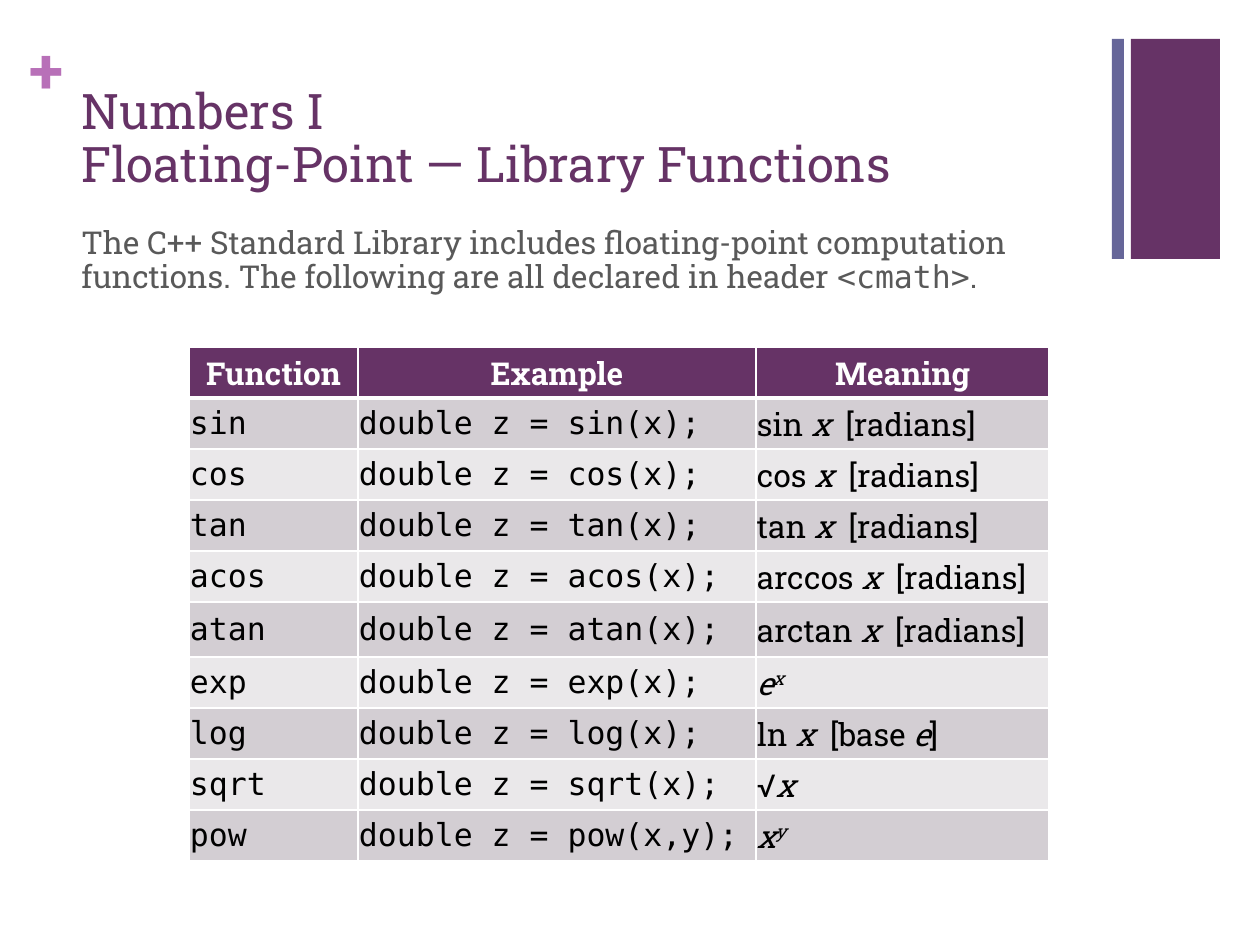
from lxml import etree
from pptx import Presentation
from pptx.dml.color import RGBColor
from pptx.enum.shapes import MSO_SHAPE
from pptx.enum.text import MSO_ANCHOR, PP_ALIGN
from pptx.oxml.ns import qn
from pptx.util import Emu, Pt

PURPLE = RGBColor(0x66, 0x33, 0x66)
BLUE = RGBColor(0x66, 0x66, 0x99)
ORCHID = RGBColor(0xB8, 0x70, 0xB8)
GRAY = RGBColor(0x59, 0x59, 0x59)
BLACK = RGBColor(0, 0, 0)
WHITE = RGBColor(0xFF, 0xFF, 0xFF)
BANDS = [RGBColor(0xD3, 0xCE, 0xD3), RGBColor(0xEA, 0xE8, 0xEA)]

SLAB = "Roboto Slab"
MONO = "DejaVu Sans Mono"


def px(n):
    return Emu(n * 914400 // 126)


class SlideBuilder:
    """Draws styled elements on one slide, measured in pixels."""

    def __init__(self, slide):
        self.slide = slide

    def bar(self, left, top, width, height, color):
        shape = self.slide.shapes.add_shape(
            MSO_SHAPE.RECTANGLE, px(left), px(top), px(width), px(height))
        shape.shadow.inherit = False
        shape.fill.solid()
        shape.fill.fore_color.rgb = color
        shape.line.fill.background()

    def add_runs(self, paragraph, runs, size, color, bold=False):
        for text, style in runs:
            run = paragraph.add_run()
            run.text = text
            font = run.font
            font.size = Pt(size)
            font.bold = bold
            font.color.rgb = color
            font.name = MONO if style == "mono" else SLAB
            font.italic = style in ("italic", "power")
            if style == "power":
                run._r.get_or_add_rPr().set("baseline", "30000")

    def text(self, box, lines, size, color, bold=False, anchor=MSO_ANCHOR.TOP,
             inset=None, spacing=0.9):
        frame = self.slide.shapes.add_textbox(*map(px, box)).text_frame
        frame.word_wrap = True
        frame.vertical_anchor = anchor
        if inset is not None:
            frame.margin_left = frame.margin_right = px(inset)
            frame.margin_top = frame.margin_bottom = px(inset)
        paragraph = frame.paragraphs[0]
        paragraph.line_spacing = spacing
        for index, runs in enumerate(lines):
            if index:
                paragraph.add_line_break()
            self.add_runs(paragraph, runs, size, color, bold)

    def border(self, cell, widths):
        properties = cell._tc.get_or_add_tcPr()
        for index, (side, width) in enumerate(zip("LRTB", widths)):
            line = etree.Element(qn(f"a:ln{side}"), w=str(int(Pt(width))))
            fill = etree.SubElement(line, qn("a:solidFill"))
            etree.SubElement(fill, qn("a:srgbClr"), val=str(WHITE))
            properties.insert(index, line)

    def table(self, left, top, widths, heights, rows):
        table = self.slide.shapes.add_table(
            len(rows), len(widths), px(left), px(top),
            px(sum(widths)), px(sum(heights))).table
        for column, width in zip(table.columns, widths):
            column.width = px(width)
        for r, (height, values) in enumerate(zip(heights, rows)):
            table.rows[r].height = px(height)
            header = r == 0
            for c, runs in enumerate(values):
                cell = table.cell(r, c)
                cell.margin_left = cell.margin_right = cell.margin_top = px(1)
                cell.margin_bottom = 0
                cell.vertical_anchor = MSO_ANCHOR.MIDDLE
                cell.fill.solid()
                cell.fill.fore_color.rgb = PURPLE if header else BANDS[(r - 1) % 2]
                self.border(cell, (1, 1, 3 if r == 1 else 1, 3 if header else 1))
                paragraph = cell.text_frame.paragraphs[0]
                paragraph.alignment = PP_ALIGN.CENTER if header else PP_ALIGN.LEFT
                self.add_runs(paragraph, runs, 18, WHITE if header else BLACK, header)


def radians(name):
    return [(f"{name} ", ""), ("x", "italic"), ("  [radians]", "")]


def power(base, exponent):
    return [(base, "italic"), (exponent, "power")]


FUNCTIONS = [
    ("sin", "x", radians("sin")),
    ("cos", "x", radians("cos")),
    ("tan", "x", radians("tan")),
    ("acos", "x", radians("arccos")),
    ("atan", "x", radians("arctan")),
    ("exp", "x", power("e", "x")),
    ("log", "x", [("ln ", ""), ("x  ", "italic"), ("[base ", ""),
                  ("e", "italic"), ("]", "")]),
    ("sqrt", "x", [("√", ""), ("x", "italic")]),
    ("pow", "x,y", power("x", "y")),
]

presentation = Presentation()
presentation.slide_width = px(1260)
presentation.slide_height = px(945)
builder = SlideBuilder(presentation.slides.add_slide(presentation.slide_layouts[6]))

builder.bar(1131, 39, 89, 220, PURPLE)
builder.text((30, 31, 37, 77), [[("+", "")]], 36, ORCHID, bold=True,
             inset=0, spacing=1.0)
builder.bar(1112, 39, 12, 220, BLUE)
builder.text((69, 67, 1041, 132),
             [[("Numbers I", "")], [("Floating-Point — Library Functions", "")]],
             28, PURPLE, anchor=MSO_ANCHOR.BOTTOM)
builder.text((69, 221, 1041, 651),
             [[("The C++ Standard Library includes floating-point computation "
                "functions. The following are all declared in header ", ""),
               ("<cmath>", "mono"), (".", "")]], 18, GRAY)

rows = [[[(title, "")] for title in ("Function", "Example", "Meaning")]]
rows += [[[(name, "mono")], [(f"double z = {name}({args});", "mono")], meaning]
         for name, args, meaning in FUNCTIONS]
heights = [55 if row[0][0][0] == "atan" else 51 for row in rows]
builder.table(189, 347, [169, 398, 293], heights, rows)

presentation.save("out.pptx")
